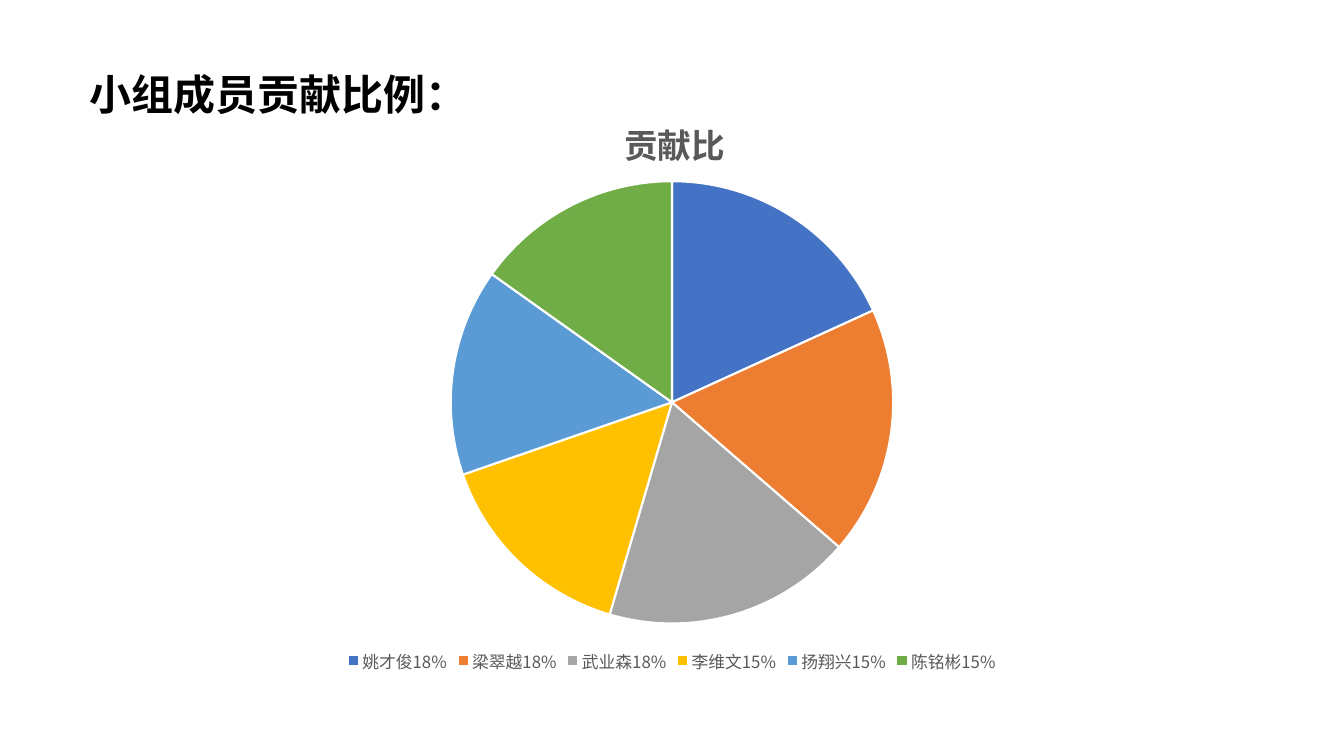
import pptx
import pptx.chart.data
import pptx.dml.color
import pptx.enum.chart
import pptx.enum.text
import pptx.oxml
import pptx.util
from pptx.oxml.ns import nsdecls, qn

Inches = pptx.util.Inches


def rgb(value):
    return pptx.dml.color.RGBColor.from_string(value)


class Deck:
    font = "Noto Sans CJK SC"
    ink = "000000"
    muted = "595959"
    paper = "FFFFFF"
    palette = ["4472C4", "ED7D31", "A5A5A5", "FFC000", "5B9BD5", "70AD47"]

    def __init__(self, width, height):
        self.prs = pptx.Presentation()
        self.prs.slide_width = Inches(width)
        self.prs.slide_height = Inches(height)
        self.s = self.prs.slides.add_slide(self.prs.slide_layouts[6])

    def style(self, font, size, color, bold=False):
        formats = {"name": self.font, "size": pptx.util.Pt(size), "bold": bold}
        for key, value in formats.items():
            setattr(font, key, value)
        font.color.rgb = rgb(color)

    def east_asian(self, rPr):
        ea = pptx.oxml.parse_xml(f'<a:ea {nsdecls("a")} typeface="{self.font}"/>')
        rPr.find(qn("a:latin")).addnext(ea)

    def run(self, tf, text, size, color):
        r = tf.paragraphs[0].add_run()
        r.text = text
        self.style(r.font, size, color, True)
        self.east_asian(r._r.get_or_add_rPr())

    def text(self, text, box, size):
        tf = self.s.shapes.add_textbox(*map(Inches, box)).text_frame
        tf.word_wrap = True
        tf.auto_size = pptx.enum.text.MSO_AUTO_SIZE.SHAPE_TO_FIT_TEXT
        self.run(tf, text, size, self.ink)

    def layout(self, element, **fractions):
        old = element.find(qn("c:layout"))
        if old is not None:
            element.remove(old)
        target = '<c:layoutTarget val="inner"/>' if "w" in fractions else ""
        modes = "".join(f'<c:{k}Mode val="edge"/>' for k in "xy")
        places = "".join(f'<c:{k} val="{v}"/>' for k, v in fractions.items())
        return pptx.oxml.parse_xml(
            f'<c:layout {nsdecls("c")}><c:manualLayout>{target}{modes}{places}'
            "</c:manualLayout></c:layout>")

    def pie(self, title, shares, box):
        data = pptx.chart.data.CategoryChartData()
        data.categories = [f"{name}{share}%" for name, share in shares]
        data.add_series(title, [share for _, share in shares])
        kind = pptx.enum.chart.XL_CHART_TYPE.PIE
        chart = self.s.shapes.add_chart(kind, *map(Inches, box), data).chart
        self.style(chart.font, 10, self.ink)

        chart.has_title = True
        self.run(chart.chart_title.text_frame, title, 24, self.muted)
        heading = chart.chart_title._element
        place = self.layout(heading, x=0.44, y=0.05)
        heading.find(qn("c:tx")).addnext(place)

        area = chart._chartSpace.chart.plotArea
        area.insert(0, self.layout(area, x=0.25, y=0.17, w=0.5, h=0.74))

        chart.has_legend = True
        chart.legend.position = pptx.enum.chart.XL_LEGEND_POSITION.BOTTOM
        chart.legend.include_in_layout = False
        self.style(chart.legend.font, 12, self.muted)
        self.east_asian(chart.legend._element.find(".//" + qn("a:defRPr")))

        plot = chart.plots[0]
        plot.vary_by_categories = True
        for i, color in enumerate(self.palette):
            slice_format = plot.series[0].points[i].format
            slice_format.fill.solid()
            slice_format.fill.fore_color.rgb = rgb(color)
            slice_format.line.color.rgb = rgb(self.paper)
            slice_format.line.width = pptx.util.Pt(1.5)


def main():
    deck = Deck(13.33, 7.5)
    deck.text("小组成员贡献比例：", (0.79, 0.63, 5.88, 0.61), 30)
    shares = [("姚才俊", 18), ("梁翠越", 18), ("武业森", 18),
              ("李维文", 15), ("扬翔兴", 15), ("陈铭彬", 15)]
    deck.pie("贡献比", shares, (2.22, 0.79, 8.89, 5.93))
    deck.prs.save("out.pptx")


if __name__ == "__main__":
    main()
